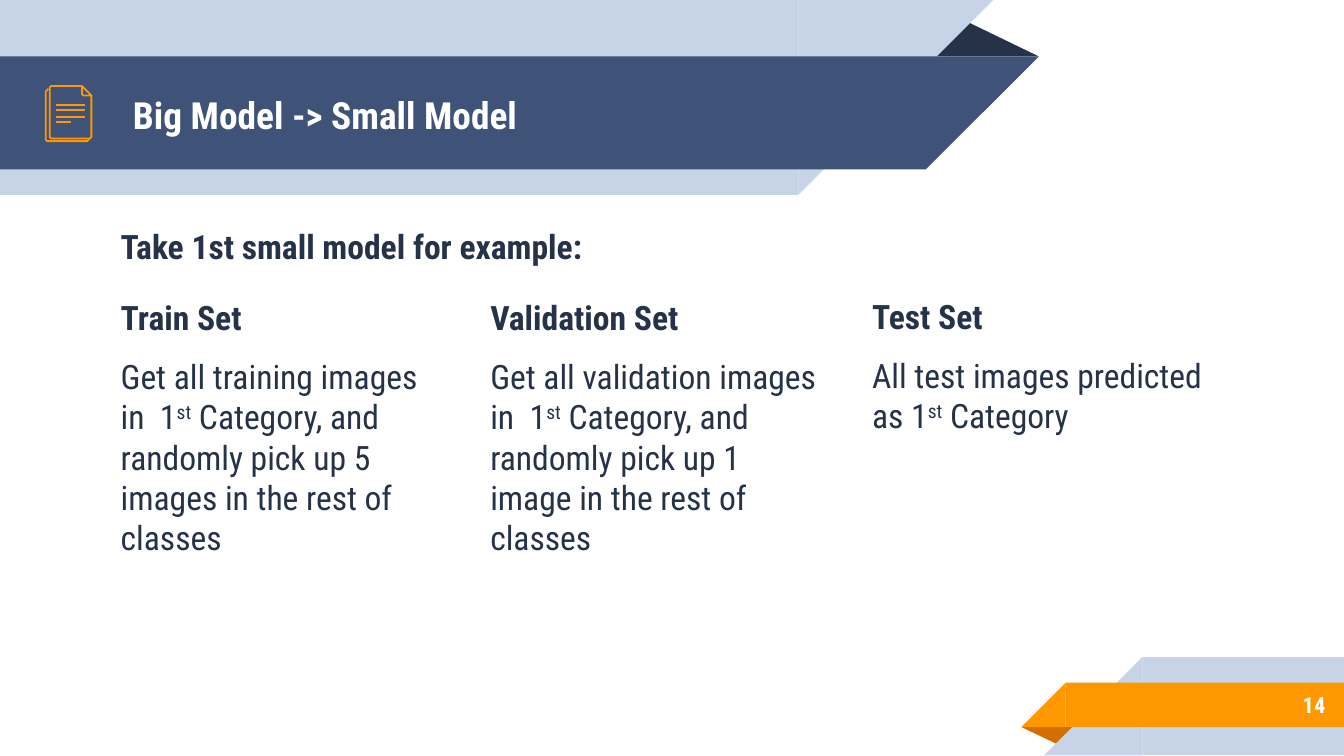
from dataclasses import dataclass

from lxml.etree import SubElement
from pptx import Presentation
from pptx.dml.color import RGBColor
from pptx.enum.shapes import MSO_CONNECTOR as Connector, MSO_SHAPE as Preset
from pptx.enum.text import MSO_ANCHOR as Anchor, PP_ALIGN as Align
from pptx.oxml.ns import qn
from pptx.util import Inches, Pt


@dataclass(frozen=True)
class Theme:
    font: str = "Roboto Condensed"
    ink: str = "263248"
    navy: str = "3F5378"
    pale: str = "C7D3E6"
    orange: str = "FF9800"
    rust: str = "D26F00"
    white: str = "FFFFFF"
    title_size: float = 20
    body_size: float = 18
    number_size: float = 12
    icon_line: float = 0.96


THEME = Theme()
SLIDE_WIDTH = 10

COLUMNS = [
    (0.8, 2.11, 2.63, 2.96, "Train Set",
     "Get all training images in  1",
     " Category, and randomly pick up 5 images in the rest of classes"),
    (3.55, 2.11, 2.63, 2.96, "Validation Set",
     "Get all validation images in  1",
     " Category, and randomly pick up 1 image in the rest of classes"),
    (6.39, 2.1, 2.79, 2.03, "Test Set",
     "All test images predicted as 1", " Category"),
]

BACK_SHEET = [(0.66, 1.03), (0.66, 1.04), (0.65, 1.05), (0.64, 1.05),
              (0.36, 1.05), (0.35, 1.05), (0.34, 1.04), (0.34, 1.03),
              (0.34, 0.68), (0.35, 0.67), (0.36, 0.66)]
FRONT_SHEET = [(0.68, 0.71), (0.68, 1.01), (0.68, 1.02), (0.67, 1.03),
               (0.66, 1.03), (0.38, 1.03), (0.37, 1.02), (0.37, 1.01),
               (0.37, 0.66), (0.37, 0.65), (0.38, 0.64), (0.61, 0.64)]
FOLDED_CORNER = [(0.61, 0.64), (0.68, 0.71), (0.63, 0.71), (0.62, 0.71),
                 (0.61, 0.7)]


def color(code):
    return RGBColor.from_string(code)


def add_block(slide, preset, box, fill, flip=None):
    block = slide.shapes.add_shape(preset, *map(Inches, box))
    block.shadow.inherit = False
    block.fill.solid()
    block.fill.fore_color.rgb = color(fill)
    block.line.fill.background()
    if flip:
        block.element.spPr.xfrm.set(flip, "1")
    return block


def add_fold(slide, box, fill, rotation=0):
    fold = add_block(slide, Preset.ISOSCELES_TRIANGLE, box, fill)
    fold.adjustments[0] = 0.32
    fold.rotation = rotation


def add_header_band(slide, top, width, height, fill):
    add_block(slide, Preset.RECTANGLE, (0, top, width, height), fill)
    add_block(slide, Preset.RIGHT_TRIANGLE, (width, top, height, height),
              fill, flip="flipV")


def add_footer_band(slide, left, top, height, fill):
    add_block(slide, Preset.RECTANGLE,
              (left, top, SLIDE_WIDTH - left, height), fill)
    add_block(slide, Preset.RIGHT_TRIANGLE,
              (left - height, top, height, height), fill, flip="flipH")


def add_text_frame(slide, box, inset=0.1, anchor=Anchor.TOP):
    frame = slide.shapes.add_textbox(*map(Inches, box)).text_frame
    frame.word_wrap = True
    frame.vertical_anchor = anchor
    frame.margin_top = frame.margin_bottom = Inches(inset)
    return frame


def write(paragraph, text, *, size=THEME.body_size, fill=THEME.ink,
          bold=False, raised=False, align=Align.LEFT):
    paragraph.alignment = align
    run = paragraph.add_run()
    run.text = text
    run.font.name = THEME.font
    run.font.size = Pt(size)
    run.font.bold = bold
    run.font.color.rgb = color(fill)
    if raised:
        run.font._element.set("baseline", "30000")


def add_column(slide, left, top, width, height, heading, before, after):
    frame = add_text_frame(slide, (left, top, width, height))
    write(frame.paragraphs[0], heading, bold=True)
    description = frame.add_paragraph()
    description.space_before = Pt(10)
    write(description, before)
    write(description, "st", raised=True)
    write(description, after)


def style_icon_line(line):
    line.color.rgb = color(THEME.orange)
    line.width = Pt(THEME.icon_line)


def add_outline(slide, points, close=False):
    start, *rest = [(Inches(x), Inches(y)) for x, y in points]
    builder = slide.shapes.build_freeform(*start)
    builder.add_line_segments(rest, close=close)
    outline = builder.convert_to_shape()
    outline.shadow.inherit = False
    outline.fill.background()
    style_icon_line(outline.line)


def add_rule(slide, left, right, y):
    rule = slide.shapes.add_connector(
        Connector.STRAIGHT, Inches(left), Inches(y), Inches(right), Inches(y))
    style_icon_line(rule.line)
    SubElement(rule._element.spPr, qn("a:effectLst"))


def add_document_icon(slide):
    add_outline(slide, BACK_SHEET)
    add_outline(slide, FRONT_SHEET)
    for right, y in [(0.53, 0.91), (0.63, 0.87), (0.63, 0.82), (0.63, 0.78)]:
        add_rule(slide, 0.42, right, y)
    add_outline(slide, FOLDED_CORNER, close=True)


def main():
    deck = Presentation()
    deck.slide_width = Inches(SLIDE_WIDTH)
    deck.slide_height = Inches(SLIDE_WIDTH * 9 / 16)
    slide = deck.slides.add_slide(deck.slide_layouts[6])

    add_fold(slide, (6.88, 0.14, 0.85, 0.28), THEME.ink)
    add_header_band(slide, 0, 5.94, 1.45, THEME.pale)
    add_header_band(slide, 0.42, 6.89, 0.84, THEME.navy)
    add_fold(slide, (7.6, 5.41, 0.43, 0.14), THEME.rust, rotation=180)
    add_footer_band(slide, 8.5, 4.89, 0.73, THEME.pale)
    add_footer_band(slide, 7.93, 5.08, 0.33, THEME.orange)

    title = add_text_frame(slide, (0.89, 0.43, 5.75, 0.84),
                           anchor=Anchor.MIDDLE)
    write(title.paragraphs[0], "Big Model -> Small Model",
          size=THEME.title_size, fill=THEME.white, bold=True)

    for column in COLUMNS:
        add_column(slide, *column)

    page_number = add_text_frame(slide, (8.33, 5.07, 1.63, 0.35),
                                 anchor=Anchor.MIDDLE)
    write(page_number.paragraphs[0], "14", size=THEME.number_size,
          fill=THEME.white, bold=True, align=Align.RIGHT)

    add_document_icon(slide)

    example = add_text_frame(slide, (0.8, 1.63, 8.56, 0.4), inset=0.05)
    write(example.paragraphs[0], "Take 1st small model for example:",
          bold=True)

    deck.save("out.pptx")


if __name__ == "__main__":
    main()
